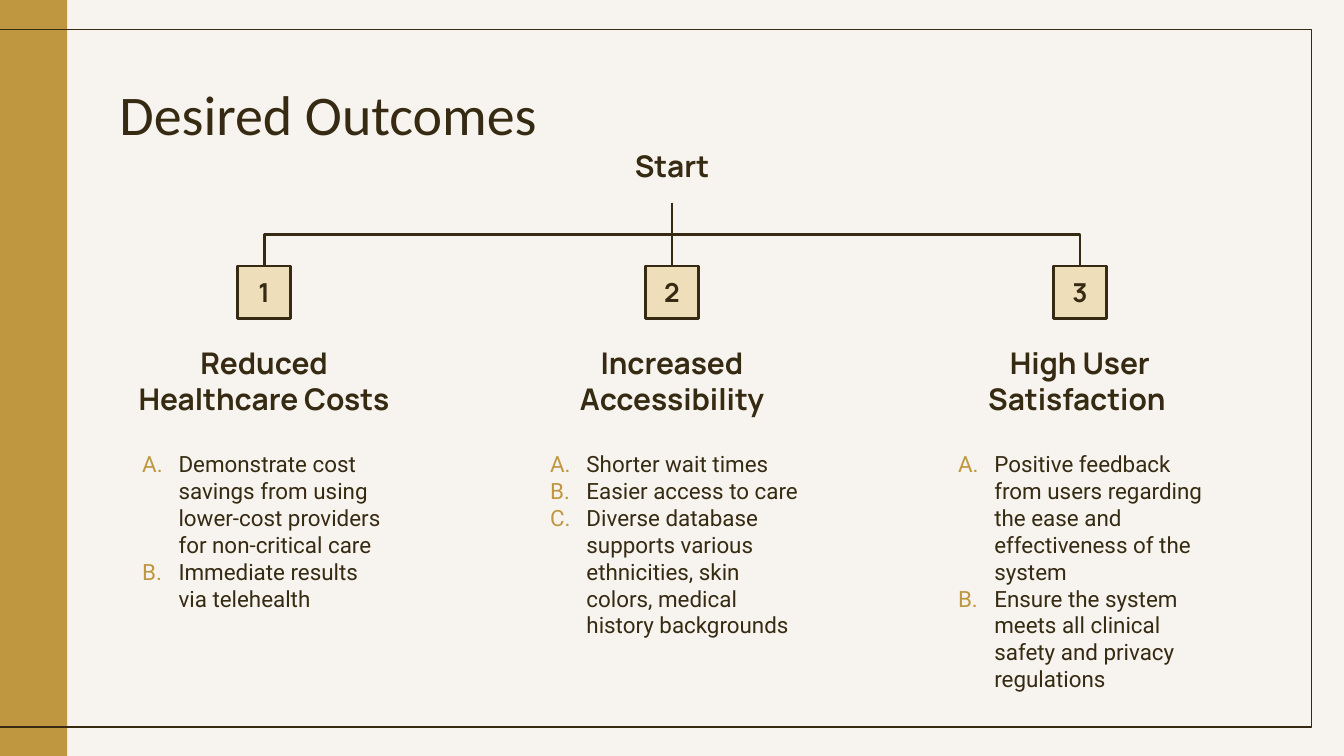
import pptx
import pptx.dml.color
import pptx.enum.shapes
import pptx.enum.text
import pptx.oxml.ns
import pptx.util
from lxml import etree

WIDTH = 10
HEIGHT = WIDTH * 9 / 16
INK, GOLD, SAND, PAPER = "362B12", "BF9740", "EFDEBA", "F7F4EF"
COLUMN, CENTER = 2.09, WIDTH / 2
PITCH = 6.07 / 2
BADGE = 0.39
ALIGN = pptx.enum.text.PP_ALIGN
ANCHOR = pptx.enum.text.MSO_ANCHOR
LINKS = pptx.enum.shapes.MSO_CONNECTOR

OUTCOMES = [
    ("Reduced Healthcare Costs ",
     ["Demonstrate cost savings from using lower-cost providers for non-critical care",
      "Immediate results via telehealth"]),
    ("Increased Accessibility",
     ["Shorter wait times",
      "Easier access to care",
      "Diverse database supports various ethnicities, skin colors, medical history backgrounds"]),
    ("High User Satisfaction ",
     ["Positive feedback from users regarding the ease and effectiveness of the system",
      "Ensure the system meets all clinical safety and privacy regulations"]),
]


def color(value):
    return pptx.dml.color.RGBColor.from_string(value)


def inches(*lengths):
    return [pptx.util.Inches(length) for length in lengths]


def add_rect(slide, box, fill=None, line=None, weight=0.75):
    rect = slide.shapes.add_shape(pptx.enum.shapes.MSO_SHAPE.RECTANGLE, *inches(*box))
    rect.shadow.inherit = False
    if fill:
        rect.fill.solid()
        rect.fill.fore_color.rgb = color(fill)
    else:
        rect.fill.background()
    if line:
        rect.line.color.rgb = color(line)
        rect.line.width = pptx.util.Pt(weight)
    else:
        rect.line.fill.background()
    return rect


def letter(paragraph):
    """Give the paragraph a gold A. B. C. number and a hanging indent."""
    properties = paragraph._p.get_or_add_pPr()
    properties.set("marL", str(pptx.util.Inches(0.31)))
    properties.set("indent", str(pptx.util.Inches(-0.27)))
    tag = pptx.oxml.ns.qn
    bullet_color = etree.SubElement(properties, tag("a:buClr"))
    etree.SubElement(bullet_color, tag("a:srgbClr"), val=GOLD)
    etree.SubElement(properties, tag("a:buAutoNum"), type="alphaUcPeriod")


def write(shape, lines, font, size, bold=False, align=ALIGN.LEFT,
          anchor=ANCHOR.TOP, lettered=False):
    frame = shape.text_frame
    frame.word_wrap = True
    frame.vertical_anchor = anchor
    frame.margin_left = frame.margin_right = pptx.util.Inches(0.1)
    frame.margin_top = frame.margin_bottom = pptx.util.Inches(0.1)
    frame.text = "\n".join(lines)
    for paragraph in frame.paragraphs:
        if lettered:
            letter(paragraph)
        paragraph.alignment = align
        paragraph.font.name = font
        paragraph.font.size = pptx.util.Pt(size)
        paragraph.font.bold = bold
        paragraph.font.color.rgb = color(INK)


def add_text(slide, box, lines, font, size, **style):
    write(slide.shapes.add_textbox(*inches(*box)), lines, font, size, **style)


def add_branch(slide, start, end):
    """Link two points downwards, with a bend halfway if they are not aligned."""
    (x1, y1), (x2, y2) = start, end
    if x1 == x2:
        link = slide.shapes.add_connector(LINKS.STRAIGHT, *inches(x1, y1, x2, y2))
    else:
        # The elbow runs sideways first, so it is laid on its side and turned
        side = 1 if x2 > x1 else -1
        middle_x, middle_y = (x1 + x2) / 2, (y1 + y2) / 2
        half_width, half_height = (y2 - y1) / 2, abs(x2 - x1) / 2
        link = slide.shapes.add_connector(LINKS.ELBOW, *inches(
            middle_x + side * half_width, middle_y - half_height,
            middle_x - side * half_width, middle_y + half_height))
        turn = 270 if side > 0 else 90
        link._element.spPr.find(pptx.oxml.ns.qn("a:xfrm")).set("rot", str(turn * 60000))
    link.line.color.rgb = color(INK)
    link.line.width = pptx.util.Pt(1.5)
    etree.SubElement(link._element.spPr, pptx.oxml.ns.qn("a:effectLst"))


def add_backdrop(slide, width, height):
    slide.background.fill.solid()
    slide.background.fill.fore_color.rgb = color(PAPER)
    add_rect(slide, (0, 0, width * 0.05, height), fill=GOLD)
    add_rect(slide, (-0.15, 0.22, width - 0.09, 5.19), line=INK)


def add_outcome(slide, box, number, heading, points):
    left, top, width, height = box
    badge = add_rect(slide, (left + (width - BADGE) / 2, top, BADGE, BADGE),
                     fill=SAND, line=INK, weight=1.5)
    write(badge, [str(number)], "Manrope", 14, bold=True,
          align=ALIGN.CENTER, anchor=ANCHOR.MIDDLE)
    add_text(slide, (left, top + 0.82, width, 0.4), [heading], "Manrope", 16,
             bold=True, align=ALIGN.CENTER, anchor=ANCHOR.BOTTOM)
    add_text(slide, (left, top + 1.27, width, height - 1.27), points,
             "Roboto", 12, lettered=True)


def add_tree(slide, box):
    left, top, width, height = box
    middle = left + width / 2
    root, badge_top = top + 0.56, top + 1.03
    add_text(slide, (middle - COLUMN / 2, top, COLUMN, 0.57), ["Start"], "Manrope", 16,
             bold=True, align=ALIGN.CENTER, anchor=ANCHOR.MIDDLE)
    for index, (heading, points) in enumerate(OUTCOMES):
        center = middle + (index - 1) * PITCH
        add_branch(slide, (middle, root), (center, badge_top))
        add_outcome(slide, (center - COLUMN / 2, badge_top, COLUMN, height - 1.03),
                    index + 1, heading, points)


def main():
    deck = pptx.Presentation()
    deck.slide_width, deck.slide_height = inches(WIDTH, HEIGHT)
    slide = deck.slides.add_slide(deck.slide_layouts[6])
    add_backdrop(slide, WIDTH, HEIGHT)
    # Title
    add_text(slide, (0.79, 0.49, 8.43, 0.63), ["Desired Outcomes"], "Calibri", 30)
    # Three outcomes below a common start
    tree_width = 2 * PITCH + COLUMN
    add_tree(slide, (CENTER - tree_width / 2, 0.95, tree_width, 4.05))
    deck.save("out.pptx")


if __name__ == "__main__":
    main()
